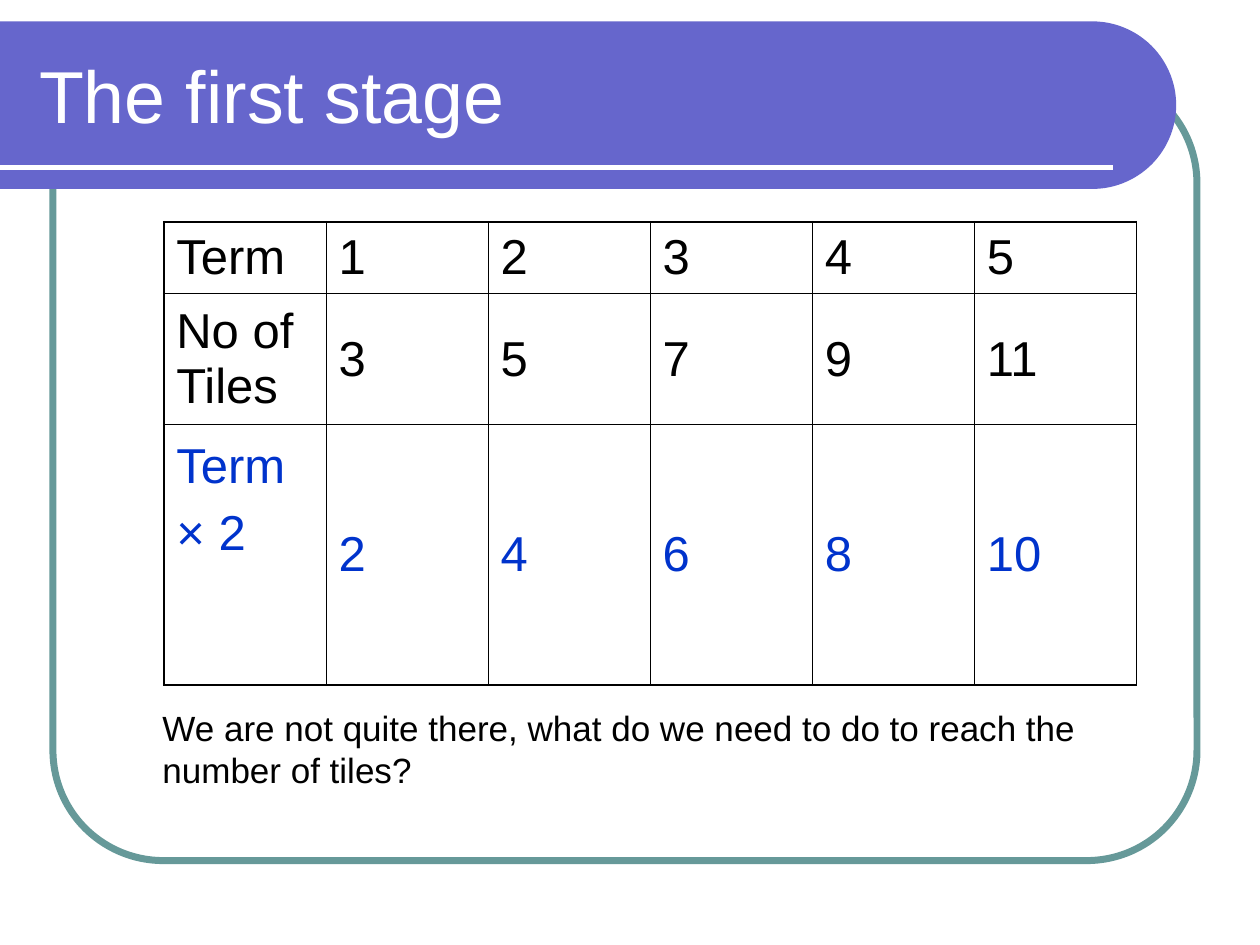
import math
import pptx
import pptx.util
import pptx.dml.color
import pptx.enum.shapes
import pptx.enum.text
import pptx.oxml
import pptx.oxml.ns
from lxml import etree

Inches = pptx.util.Inches
Pt = pptx.util.Pt
Anchor = pptx.enum.text.MSO_ANCHOR
qn = pptx.oxml.ns.qn
hues = {"band": "6666CC", "frame": "669999", "white": "FFFFFF", "black": "000000", "blue": "0033CC"}


def tint(name):
    return pptx.dml.color.RGBColor.from_string(hues[name])


def write(box, text, size=28, color="black", before=0, anchor=Anchor.MIDDLE):
    box.text = text
    box.vertical_anchor = anchor
    for para in box.paragraphs:
        para.alignment = pptx.enum.text.PP_ALIGN.LEFT
        para.space_before = Pt(before)
        para.font.name = "Arial"
        para.font.size = Pt(size)
        para.font.color.rgb = tint(color)


deck = pptx.Presentation()
deck.slide_width = Inches(10)
deck.slide_height = Inches(7.5)
slide = deck.slides.add_slide(deck.slide_layouts[5])
shapes = slide.shapes

frame = shapes.add_shape(
    pptx.enum.shapes.MSO_SHAPE.ROUNDED_RECTANGLE, Inches(0.42), Inches(0.58), Inches(9.08), Inches(6.25))
frame.adjustments[0] = 0.14
frame.shadow.inherit = False
frame.fill.background()
frame.line.color.rgb = tint("frame")
frame.line.width = Pt(4)

top, low, edge = Inches(0.17), Inches(1.5), Inches(8.67)
mid, arc = (top + low) / 2, (low - top) / 2
curve = []
for step in range(61):
    turn = math.radians(3 * step - 90)
    curve.append((edge + arc * math.cos(turn), mid + arc * math.sin(turn)))
pen = shapes.build_freeform(0, top)
pen.add_line_segments(curve + [(0, low)], close=True)
band = pen.convert_to_shape()
band.shadow.inherit = False
band.fill.solid()
band.fill.fore_color.rgb = tint("band")
band.line.fill.background()

rule = shapes.add_connector(
    pptx.enum.shapes.MSO_CONNECTOR.STRAIGHT, 0, Inches(1.33), Inches(8.83), Inches(1.33))
rule.line.color.rgb = tint("white")
rule.line.width = Pt(3)
etree.SubElement(rule.element.spPr, qn("a:effectLst"))

title = shapes.title
rule.element.addnext(title.element)
title.left, title.top = Inches(0.21), Inches(0.25)
title.width, title.height = Inches(8.77), Inches(1)
write(title.text_frame, "The first stage", size=42, color="white")

rows = [
    ["Term"] + [str(n) for n in range(1, 6)],
    ["No of Tiles"] + [str(2 * n + 1) for n in range(1, 6)],
    ["Term\n× 2"] + [str(2 * n) for n in range(1, 6)],
]
tall = [0.57, 1.04, 2.07]
grid = shapes.add_table(3, 6, Inches(1.3), Inches(1.76), Inches(7.72), Inches(sum(tall)))
table = grid.table
table.first_row = table.horz_banding = False
for col in table.columns:
    col.width = Inches(7.72 / 6)
for r, row in enumerate(rows):
    table.rows[r].height = Inches(tall[r])
    for c, text in enumerate(row):
        cell = table.cell(r, c)
        cell.fill.background()
        write(cell.text_frame, text, color="blue" if r == 2 else "black", before=7)
        cell.vertical_anchor = Anchor.MIDDLE
table.cell(2, 0).vertical_anchor = Anchor.TOP
table.cell(2, 0).margin_top = Inches(0.12)

for i, tag in enumerate(grid.element.iter(qn("a:tcPr"))):
    r, c = divmod(i, 6)
    sides = {"lnL": c == 0, "lnR": c == 5, "lnT": r == 0, "lnB": r == 2}
    for spot, (side, outer) in enumerate(sides.items()):
        line = etree.Element(qn("a:" + side), w=str(Pt(1.08 if outer else 0.45)))
        fill = etree.SubElement(line, qn("a:solidFill"))
        etree.SubElement(fill, qn("a:srgbClr"), val=hues["black"])
        tag.insert(spot, line)

note = shapes.add_textbox(Inches(1.19), Inches(5.56), Inches(7.45), Inches(0.77))
note.text_frame.word_wrap = False
note.text_frame.auto_size = pptx.enum.text.MSO_AUTO_SIZE.SHAPE_TO_FIT_TEXT
write(note.text_frame,
      "We are not quite there, what do we need to do to reach the\nnumber of tiles?",
      size=20, anchor=Anchor.TOP)

deck.save("out.pptx")
